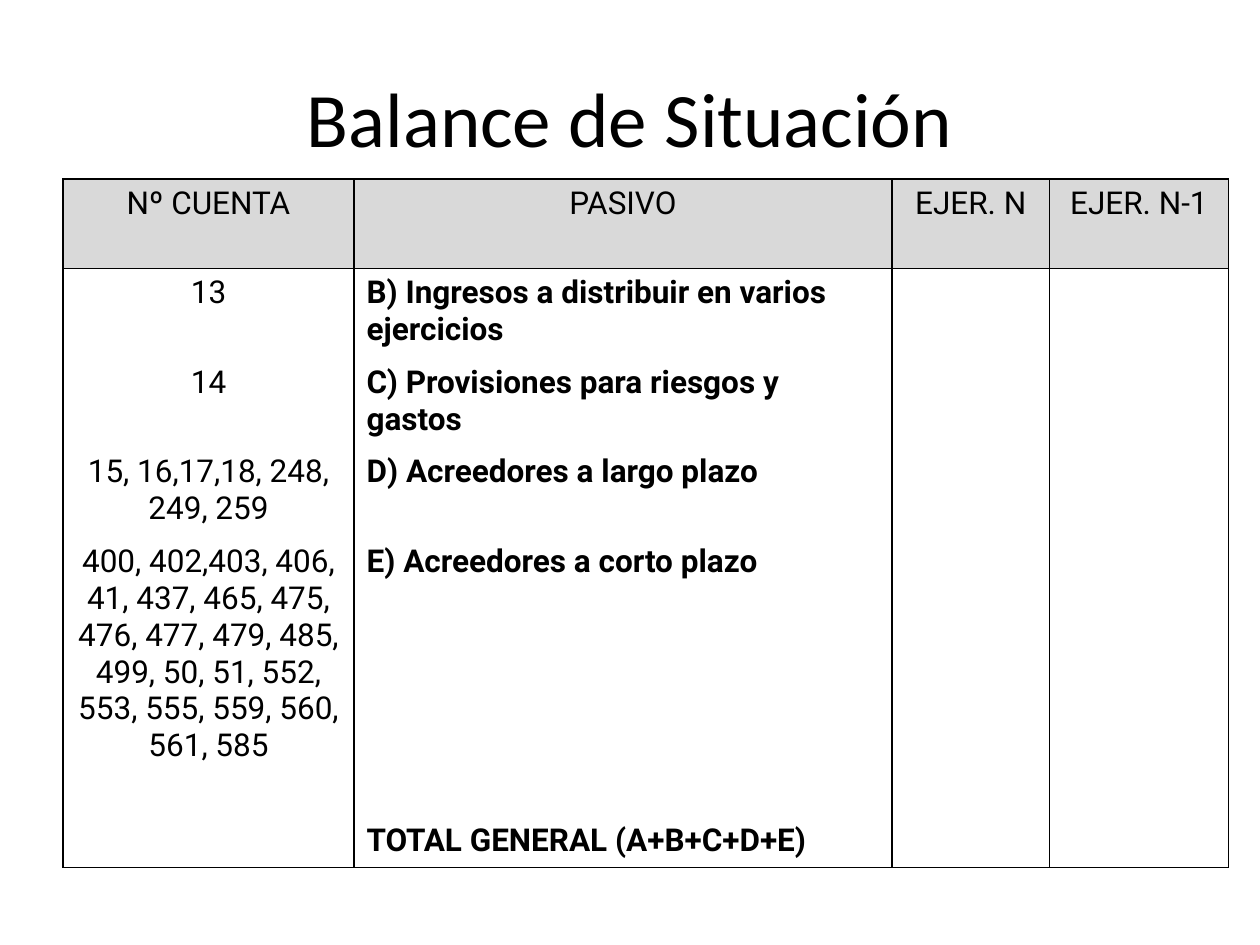
from lxml import etree
from pptx import Presentation
from pptx.dml.color import RGBColor
from pptx.enum import text
from pptx.oxml import ns
from pptx.util import Inches, Pt

TITLE = "Balance de Situación"
HEADINGS = ("Nº CUENTA", "PASIVO", "EJER. N", "EJER. N-1")
ACCOUNTS = [
    ("13", "B) Ingresos a distribuir en varios ejercicios"),
    ("14", "C) Provisiones para riesgos y gastos"),
    ("15, 16,17,18, 248, 249, 259", "D) Acreedores a largo plazo"),
    ("400, 402,403, 406, 41, 437, 465, 475, 476, 477, 479, 485, 499, 50, 51, "
     "552, 553, 555, 559, 560, 561, 585", "E) Acreedores a corto plazo"),
    ("", "TOTAL GENERAL (A+B+C+D+E)"),
]
COLUMNS = (2.31, 4.27, 1.25, 1.42)
ROWS = (0.71,) * 4 + (2.22, 0.4)
TABLE_AT = (0.5, 1.42)
TITLE_AT = (0.5, 0.3, 9, 1.25)
THEME = dict(ink="000000", header="D9D9D9", title_font="Calibri", title_size=44,
             body_font="Roboto", body_size=18, rule=1)


def write(frame, words, font=THEME["body_font"], size=THEME["body_size"],
          bold=False, centred=False):
    """Put formatted words into a text frame."""
    frame.word_wrap = True
    line = frame.paragraphs[0]
    line.alignment = text.PP_ALIGN.CENTER if centred else text.PP_ALIGN.LEFT
    line.font.size = Pt(size)
    if words:
        run = line.add_run()
        run.text = words
        run.font.name, run.font.size, run.font.bold = font, Pt(size), bold
        run.font.color.rgb = RGBColor.from_string(THEME["ink"])


def rule_cell(cell, drawn):
    """Draw the named sides of a cell and clear the others."""
    properties = cell._tc.get_or_add_tcPr()
    for place, side in enumerate("LRTB"):
        edge = etree.Element(ns.qn(f"a:ln{side}"), w=str(Pt(THEME["rule"])))
        if side in drawn:
            paint = etree.SubElement(edge, ns.qn("a:solidFill"))
            etree.SubElement(paint, ns.qn("a:srgbClr"), val=THEME["ink"])
        else:
            etree.SubElement(edge, ns.qn("a:noFill"))
        properties.insert(place, edge)


def add_balance(slide):
    """Add the balance table with ruled columns, header and outer edge."""
    records = [HEADINGS] + [account + ("", "") for account in ACCOUNTS]
    area = (*TABLE_AT, sum(COLUMNS), sum(ROWS))
    balance = slide.shapes.add_table(len(ROWS), len(COLUMNS), *map(Inches, area)).table
    balance.horz_banding = balance.first_row = False
    for column, width in zip(balance.columns, COLUMNS):
        column.width = Inches(width)
    for r, (height, record) in enumerate(zip(ROWS, records)):
        balance.rows[r].height = Inches(height)
        header = r == 0
        sides = "LR" + "T" * (r < 2) + "B" * (r in (0, len(ROWS) - 1))
        for c, words in enumerate(record):
            cell = balance.cell(r, c)
            write(cell.text_frame, words, bold=not header and c == 1,
                  centred=header or c == 0)
            if header:
                cell.fill.solid()
                cell.fill.fore_color.rgb = RGBColor.from_string(THEME["header"])
            else:
                cell.fill.background()
            rule_cell(cell, sides)


def build():
    """Build and save the slide."""
    deck = Presentation()
    deck.slide_width, deck.slide_height = Inches(10), Inches(7.5)
    slide = deck.slides.add_slide(deck.slide_layouts[6])
    add_balance(slide)
    heading = slide.shapes.add_textbox(*map(Inches, TITLE_AT)).text_frame
    heading.vertical_anchor = text.MSO_ANCHOR.MIDDLE
    write(heading, TITLE, font=THEME["title_font"], size=THEME["title_size"], centred=True)
    deck.save("out.pptx")


build()
